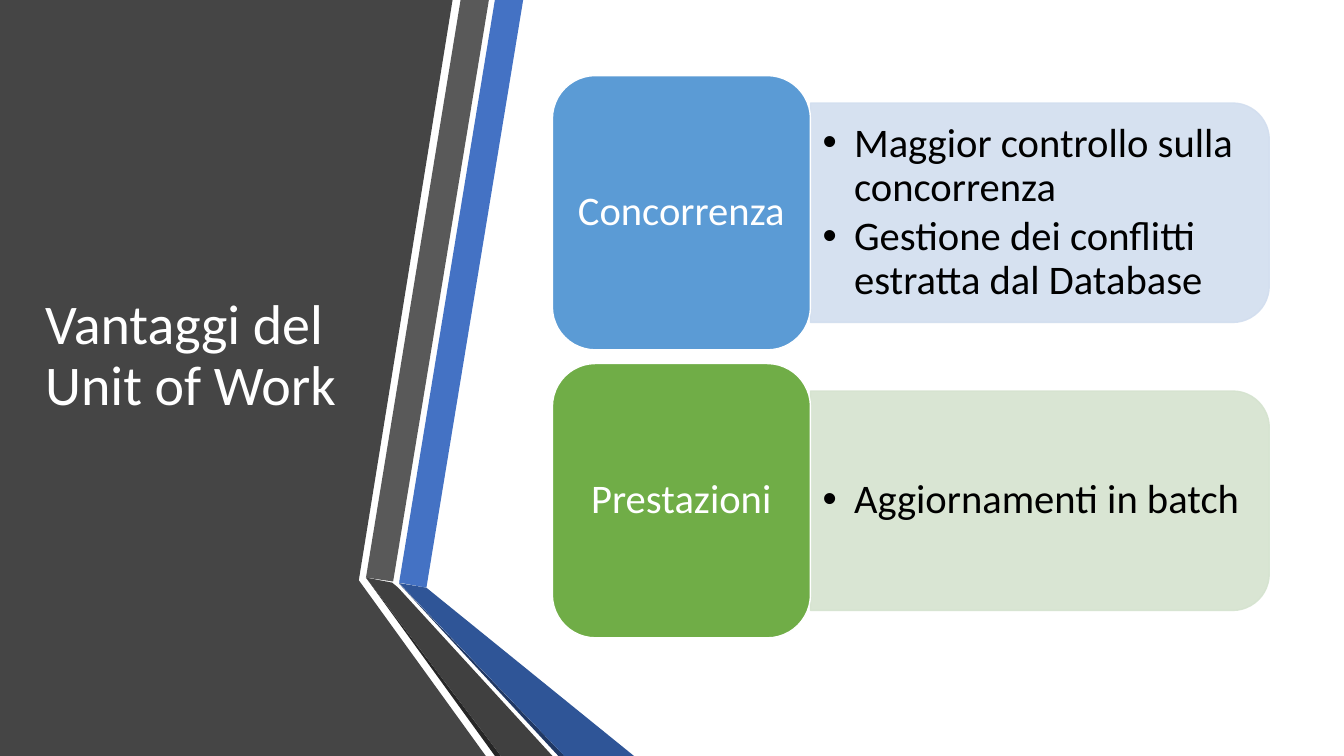
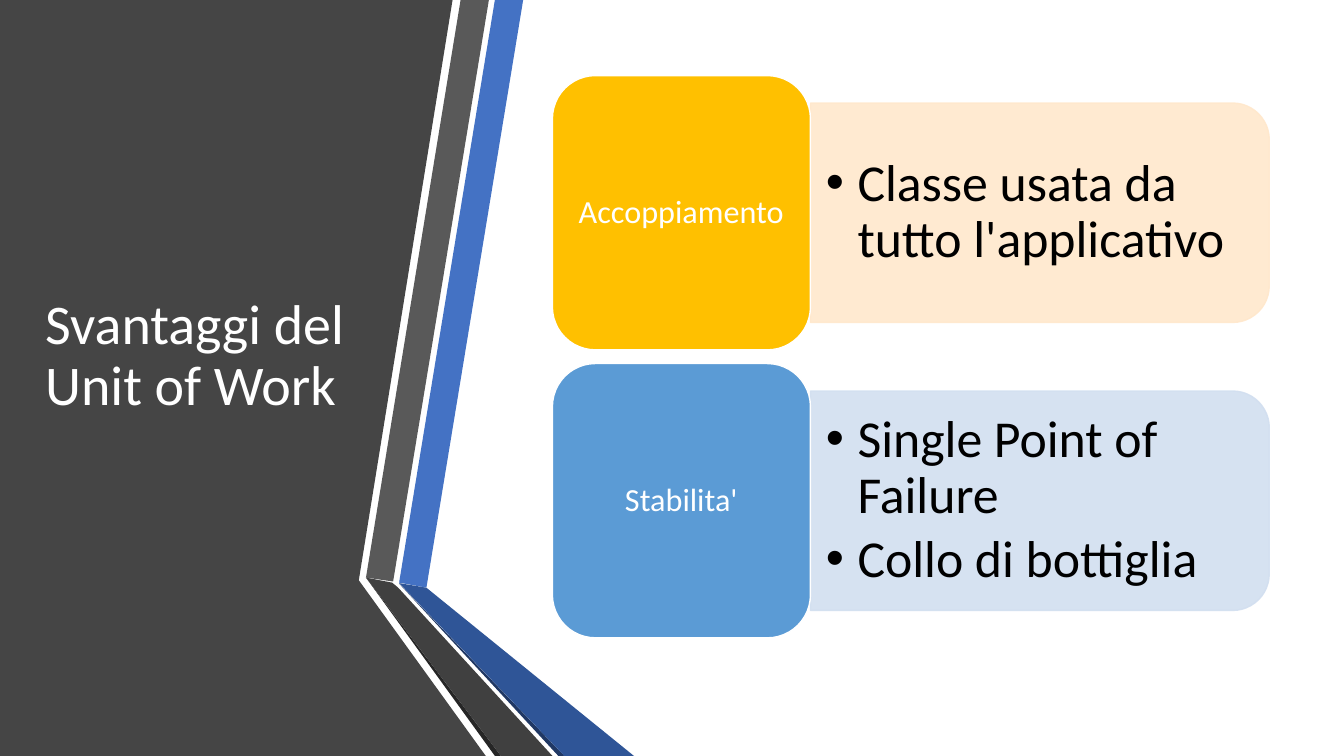
from lxml.etree import SubElement
from pptx import Presentation
from pptx.dml.color import RGBColor
from pptx.enum.shapes import MSO_SHAPE as Preset
from pptx.enum.text import MSO_ANCHOR as Anchor, PP_ALIGN as Align
from pptx.oxml.ns import qn
from pptx.util import Pt

# Content: title, text sizes, and cards of (label, colour, panel colour, bullets)
SLIDES = [
    {
        "title": "Vantaggi del Unit of Work",
        "label_size": 29, "bullet_size": 29,
        "cards": [
            ("Concorrenza", "5B9BD5", "D2DEEF",
             ["Maggior controllo sulla concorrenza",
              "Gestione dei conflitti estratta dal Database"]),
            ("Prestazioni", "70AD47", "D5E3CF", ["Aggiornamenti in batch"]),
        ],
    },
    {
        "title": "Svantaggi del Unit of Work",
        "label_size": 23, "bullet_size": 37,
        "cards": [
            ("Accoppiamento", "FFC000", "FFE8CC",
             ["Classe usata da tutto l'applicativo"]),
            ("Stabilita'", "5B9BD5", "D2DFF0",
             ["Single Point of Failure", "Collo di bottiglia"]),
        ],
    },
]

# Shared style, lengths in points
FONT = "Calibri"
WHITE, BLACK = "FFFFFF", "000000"
SLIDE_WIDTH, SLIDE_HEIGHT = 960, 540
TITLE_BOX = (25.2, 54, 262.8, 401.8)
TITLE_SIZE = 40
BANDS = [
    ("454545", [(0, 0), (323.3, 0), (256.3, 414.5), (347, 540), (0, 540)]),
    ("4472C4", [(285.1, 416.2), (304.6, 419.8), (373.7, 0), (353.5, 0)]),
    ("595959", [(349.2, 0), (329, 0), (261.4, 412.6), (280.8, 415.4)]),
    ("262626", [(261.4, 412.6), (353.5, 540), (357.8, 540)]),
    ("203864", [(285.1, 416.9), (398.9, 540), (403.2, 540)]),
    ("2F5597", [(285.1, 416.5), (403.2, 540), (452.9, 540), (304.6, 419.8)]),
    ("404040", [(394.6, 540), (284.4, 419.8), (280.1, 416.2),
                (261.4, 412.6), (357.8, 540)]),
]

# Card grid
GRID_LEFT, GRID_TOP, GRID_WIDTH = 394.6, 54, 512
CARD_WIDTH, CARD_HEIGHT = 0.36 * GRID_WIDTH, 195.9
CARD_PITCH = 1.05 * CARD_HEIGHT
PANEL_WIDTH, PANEL_HEIGHT = GRID_WIDTH - CARD_WIDTH, 0.8 * CARD_HEIGHT
PANEL_CURVE = 7.7
PANEL_OPACITY = 90
BULLET_INDENT = 22.5


def points(*lengths):
    return [Pt(length) for length in lengths]


def color(hex_code):
    return RGBColor.from_string(hex_code)


def paint(shape, fill, line=None, opacity=100):
    shape.shadow.inherit = False
    shape.fill.solid()
    shape.fill.fore_color.rgb = color(fill)
    if line:
        shape.line.color.rgb = color(line)
        shape.line.width = Pt(1)
    else:
        shape.line.fill.background()
    if opacity < 100:
        for node in list(shape._element.spPr.iter(qn("a:srgbClr"))):
            SubElement(node, qn("a:alpha"), val=str(opacity * 1000))


def write(shape, lines, size, ink, insets=(7.2, 3.6), align=Align.LEFT,
          bullets=False):
    frame = shape.text_frame
    across, down = points(*insets)
    frame_format = {
        "word_wrap": True, "vertical_anchor": Anchor.MIDDLE,
        "margin_left": across, "margin_right": across,
        "margin_top": down, "margin_bottom": down,
    }
    for name, value in frame_format.items():
        setattr(frame, name, value)
    for index, line in enumerate(lines):
        paragraph = frame.add_paragraph() if index else frame.paragraphs[0]
        paragraph.text = line
        paragraph.alignment, paragraph.line_spacing = align, 0.9
        font_format = {"name": FONT, "size": Pt(size)}
        for name, value in font_format.items():
            setattr(paragraph.font, name, value)
        paragraph.font.color.rgb = color(ink)
        if bullets:
            paragraph.space_after = Pt(round(0.15 * size))
            add_bullet(paragraph)


def add_bullet(paragraph):
    properties = paragraph._p.get_or_add_pPr()
    properties.set("marL", str(Pt(BULLET_INDENT)))
    properties.set("indent", str(-Pt(BULLET_INDENT)))
    bullet = SubElement(properties, qn("a:buChar"), char="•")
    font = SubElement(properties, qn("a:buFont"), typeface="Arial")
    bullet.addprevious(font)
    # The default run properties come last in the schema
    defaults = properties.find(qn("a:defRPr"))
    if defaults is not None:
        properties.append(defaults)


def add_bands(slide):
    for fill, corners in BANDS:
        start, *rest = [points(*corner) for corner in corners]
        builder = slide.shapes.build_freeform(*start)
        builder.add_line_segments(rest, close=True)
        paint(builder.convert_to_shape(), fill)


def add_card(slide, row, card, label_size, bullet_size):
    label, fill, panel_fill, bullets = card
    top = GRID_TOP + row * CARD_PITCH
    panel_left = GRID_LEFT + CARD_WIDTH
    panel_top = top + (CARD_HEIGHT - PANEL_HEIGHT) / 2

    # Panel: an upright shape turned a quarter about its centre
    turn = (PANEL_WIDTH - PANEL_HEIGHT) / 2
    panel = slide.shapes.add_shape(
        Preset.ROUND_2_SAME_RECTANGLE,
        *points(panel_left + turn, panel_top - turn, PANEL_HEIGHT, PANEL_WIDTH))
    panel.rotation = 90
    paint(panel, panel_fill, panel_fill, PANEL_OPACITY)

    # Bullets, with insets that grow with the text
    bullet_box = slide.shapes.add_textbox(*points(
        panel_left, panel_top + PANEL_CURVE,
        PANEL_WIDTH - PANEL_CURVE, PANEL_HEIGHT - 2 * PANEL_CURVE))
    write(bullet_box, bullets, bullet_size, BLACK,
          (0.3 * bullet_size, 0.15 * bullet_size), bullets=True)

    # Label tile
    tile = slide.shapes.add_shape(
        Preset.ROUNDED_RECTANGLE,
        *points(GRID_LEFT, top, CARD_WIDTH, CARD_HEIGHT))
    paint(tile, fill, WHITE)
    write(tile, [label], label_size, WHITE,
          (0.3 * label_size, 0.15 * label_size), Align.CENTER)


def main():
    presentation = Presentation()
    presentation.slide_width = Pt(SLIDE_WIDTH)
    presentation.slide_height = Pt(SLIDE_HEIGHT)
    for content in SLIDES:
        slide = presentation.slides.add_slide(presentation.slide_layouts[6])
        add_bands(slide)
        title = slide.shapes.add_textbox(*points(*TITLE_BOX))
        write(title, [content["title"]], TITLE_SIZE, WHITE)
        for row, card in enumerate(content["cards"]):
            add_card(slide, row, card,
                     content["label_size"], content["bullet_size"])
    presentation.save("out.pptx")


if __name__ == "__main__":
    main()
